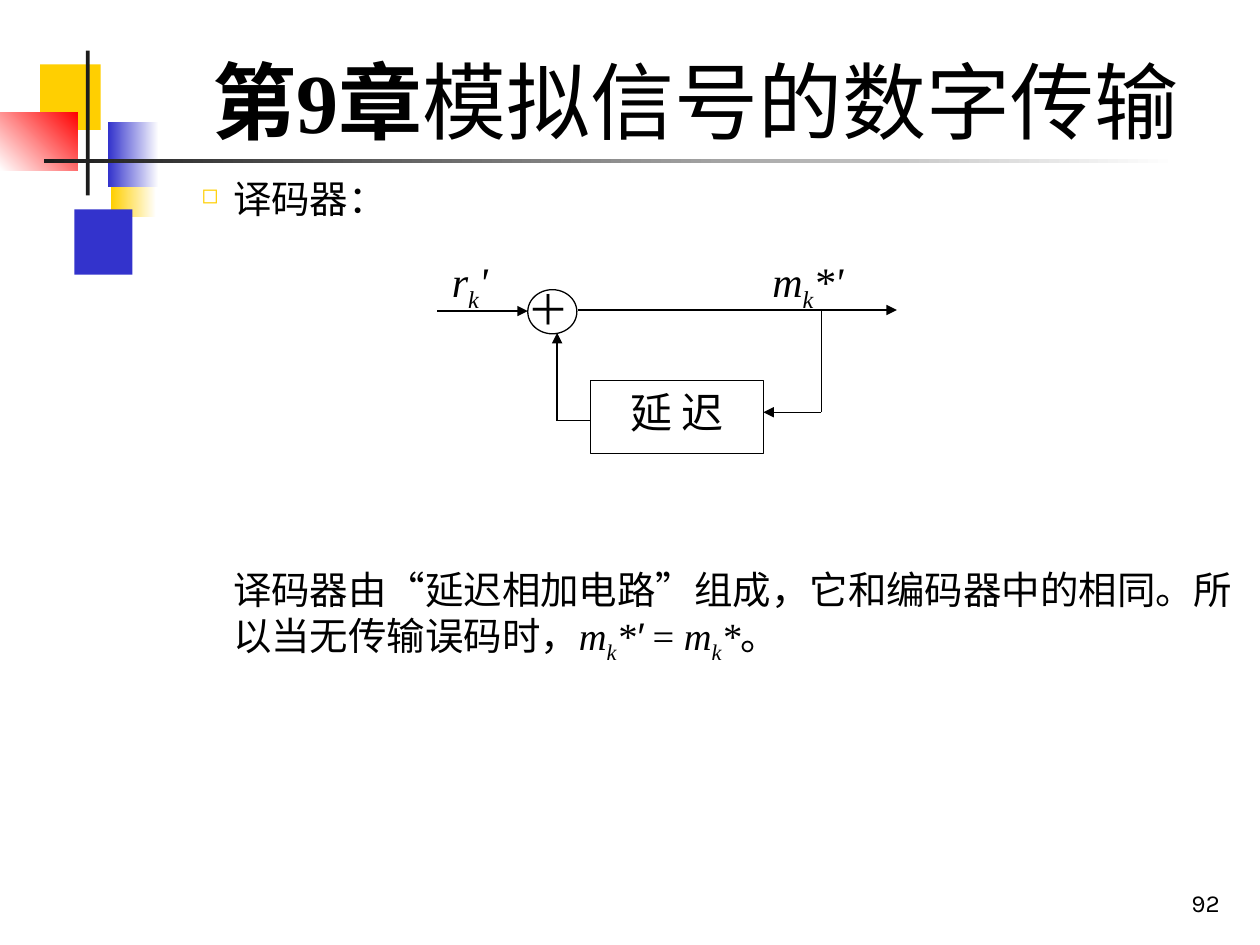
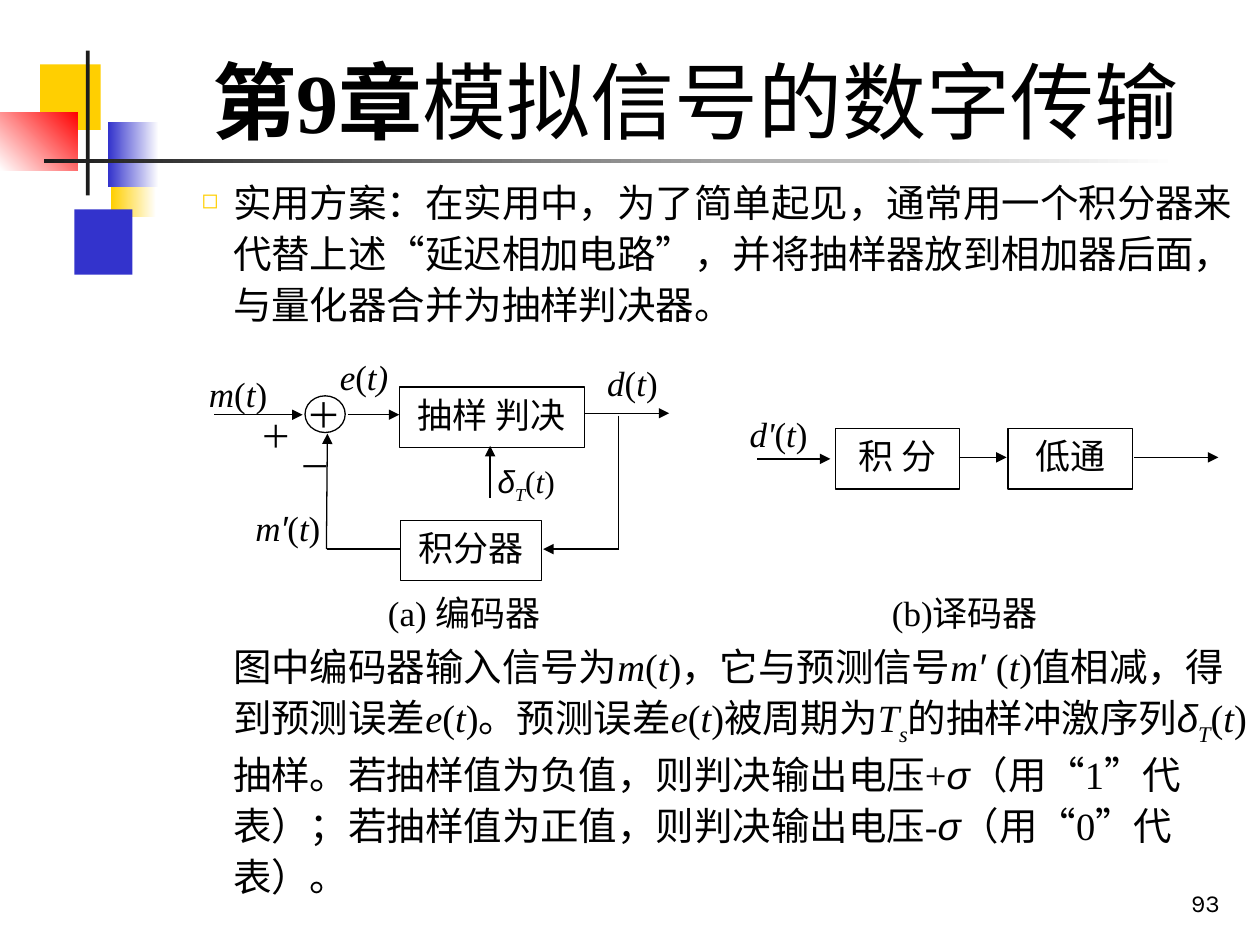
import dataclasses

import lxml.etree
import pptx
import pptx.dml.color
import pptx.enum.shapes
import pptx.enum.text
import pptx.oxml
import pptx.oxml.ns
import pptx.util

Cm = pptx.util.Cm
qn = pptx.oxml.ns.qn
Align = pptx.enum.text.PP_ALIGN
Anchor = pptx.enum.text.MSO_ANCHOR
Preset = pptx.enum.shapes.MSO_SHAPE


@dataclasses.dataclass(frozen=True)
class Theme:
    ink: str = "000000"
    paper: str = "FFFFFF"
    gold: str = "FFCF01"
    blue: str = "3333CC"
    red: str = "FF0000"
    charcoal: str = "1C1C1C"
    serif: str = "Times New Roman"
    sans: str = "Arial"
    number_font: str = "Karla"
    title_size: int = 48
    body_size: int = 22
    large_size: int = 24
    label_size: int = 20
    small_size: int = 18
    number_size: int = 14
    line_width: float = 0.75


theme = Theme()

PLAIN = {}
BOLD = {"bold": True}
ITALIC = {"italic": True}
SUB = {"italic": True, "baseline": "-25000"}
GREEK = {"italic": True, "font": theme.sans}
NUMBER = {"font": theme.number_font}

OF_T = [("(", PLAIN), ("t", ITALIC), (")", PLAIN)]
M_T = [("m", ITALIC), *OF_T]
E_T = [("e", ITALIC), *OF_T]
DELTA_T = [("δ", GREEK), ("T", SUB), *OF_T]
M_K = [("m", ITALIC), ("k", SUB), ("*", ITALIC)]


def paint(shape, colors, angle=0):
    shape.shadow.inherit = False
    if len(colors) == 1:
        shape.fill.solid()
        shape.fill.fore_color.rgb = pptx.dml.color.RGBColor.from_string(colors[0])
    else:
        shape.fill.gradient()
        shape.fill.gradient_angle = angle
        for stop, color in zip(shape.fill.gradient_stops, colors):
            stop.color.rgb = pptx.dml.color.RGBColor.from_string(color)
    shape.line.fill.background()


def write(box, runs, size, align=Align.LEFT, anchor=Anchor.TOP):
    frame = box.text_frame
    frame.word_wrap = True
    frame.vertical_anchor = anchor
    para = frame.paragraphs[0]
    para.alignment = align
    for text, style in runs:
        span = para.add_run()
        span.text = text
        span.font.size = pptx.util.Pt(size)
        span.font.name = style.get("font", theme.serif)
        span.font.bold = style.get("bold", False)
        span.font.italic = style.get("italic", False)
        span.font.color.rgb = pptx.dml.color.RGBColor.from_string(theme.ink)
        if "baseline" in style:
            span.font._element.set("baseline", style["baseline"]) if hasattr(span.font, "_element") else span._r.get_or_add_rPr().set("baseline", style["baseline"])
    return para


decorations = [
    ((2.24, 3.05, 0.91, 1.32), [theme.paper, theme.gold], 180),
    ((1.5, 4.22, 1.17, 1.32), [theme.blue], 0),
    ((0.81, 1.3, 1.22, 1.32), [theme.gold], 0),
    ((2.18, 2.46, 1.02, 1.32), [theme.paper, theme.blue], 180),
    ((0, 2.26, 1.57, 1.17), [theme.red, theme.paper], 225),
    ((1.73, 1.02, 0.08, 2.92), [theme.charcoal], 0),
    ((0.89, 3.2, 22.86, 0.08), [theme.paper, theme.charcoal], 180),
]

decoder_page = {
    "number": "92",
    "spacing": 1.0,
    "bullet": [("译码器：", PLAIN)],
    "note_top": 11.28,
    "note": [
        ("译码器由“延迟相加电路”组成，它和编码器中的相同。所以当无传输误码时，", PLAIN),
        *M_K, ("′", GREEK), (" = ", PLAIN), *M_K, ("。", PLAIN),
    ],
    "block_size": theme.large_size,
    "blocks": [("延 迟", (11.91, 7.67, 3.48, 1.47))],
    "adder": (10.64, 5.84, 0.99, 0.89),
    "lines": [
        ((11.91, 8.48), (11.23, 8.48), False),
        ((11.23, 8.48), (11.23, 6.71), True),
        ((8.81, 6.27), (10.64, 6.27), True),
        ((11.66, 6.25), (18.08, 6.25), True),
        ((16.56, 6.25), (16.56, 8.31), False),
        ((16.56, 8.31), (15.39, 8.31), True),
    ],
    "labels": [
        ([("＋", PLAIN)], (10.39, 5.59, 1.57, 1.17), theme.large_size),
        ([("r", ITALIC), ("k", SUB), ("'", ITALIC)], (8.86, 5.03, 1.65, 1.32), theme.large_size),
        ([*M_K, ("'", ITALIC)], (15.32, 5.03, 2.29, 1.32), theme.large_size),
    ],
}

practical_page = {
    "number": "93",
    "spacing": 1.1,
    "bullet": [(
        "实用方案：在实用中，为了简单起见，通常用一个积分器来代替上述“延迟相加电路”，"
        "并将抽样器放到相加器后面，与量化器合并为抽样判决器。", PLAIN)],
    "note_top": 12.74,
    "note": [
        ("图中编码器输入信号为", PLAIN), *M_T,
        ("，它与预测信号", PLAIN), ("m", ITALIC), ("′ ", GREEK), *OF_T,
        ("值相减，得到预测误差", PLAIN), *E_T,
        ("。预测误差", PLAIN), *E_T,
        ("被周期为", PLAIN), ("T", ITALIC), ("s", SUB),
        ("的抽样冲激序列", PLAIN), *DELTA_T,
        ("抽样。若抽样值为负值，则判决输出电压+", PLAIN), ("σ", GREEK),
        ("（用“1”代表）；若抽样值为正值，则判决输出电压-", PLAIN), ("σ", GREEK),
        ("（用“0”代表）。", PLAIN),
    ],
    "block_size": theme.label_size,
    "blocks": [
        ("积分器", (8.08, 10.49, 2.84, 1.22)),
        ("抽样 判决", (8.05, 7.8, 3.73, 1.22)),
        ("积 分", (16.84, 8.64, 2.51, 1.22)),
        ("低通", (20.32, 8.64, 2.51, 1.22)),
    ],
    "adder": (6.15, 7.98, 0.81, 0.74),
    "lines": [
        ((4.32, 8.36), (6.1, 8.36), True),
        ((7.01, 8.36), (8.05, 8.36), True),
        ((11.79, 8.33), (13.49, 8.33), True),
        ((12.47, 8.38), (12.47, 11.07), False),
        ((12.47, 11.07), (10.95, 11.07), True),
        ((8.08, 11.07), (6.6, 11.07), False),
        ((6.58, 11.07), (6.6, 8.74), True),
        ((9.88, 10.03), (9.88, 8.99), True),
        ((15.27, 9.25), (16.74, 9.25), True),
        ((19.33, 9.22), (20.29, 9.22), True),
        ((22.86, 9.22), (24.56, 9.22), True),
    ],
    "labels": [
        ([("＋", PLAIN)], (5.92, 7.8, 1.32, 0.99), theme.label_size),
        ([("＋", PLAIN)], (5, 8.28, 1.2, 0.97), theme.small_size),
        ([("－", PLAIN)], (5.79, 8.89, 1.2, 0.97), theme.small_size),
        (DELTA_T, (9.78, 9.19, 1.8, 1.09), theme.small_size),
        (M_T, (3.96, 7.39, 1.88, 1.17), theme.label_size),
        ([("e", ITALIC), ("(", PLAIN), ("t)", ITALIC)], (6.6, 7.04, 1.6, 1.17), theme.label_size),
        ([("d", ITALIC), *OF_T], (11.99, 7.16, 1.88, 1.17), theme.label_size),
        ([("m", ITALIC), ("′", GREEK), *OF_T], (4.9, 10.08, 1.96, 1.17), theme.label_size),
        ([("d'", ITALIC), *OF_T], (14.86, 8.2, 2.46, 1.09), theme.label_size),
        ([("(a) 编码器", PLAIN)], (7.57, 11.79, 4, 1.19), theme.label_size),
        ([("(b)译码器", PLAIN)], (17.73, 11.79, 4, 1.19), theme.label_size),
    ],
}

deck = pptx.Presentation()
deck.slide_width = Cm(25.4)
deck.slide_height = Cm(19.05)

for content in (decoder_page, practical_page):
    page = deck.slides.add_slide(deck.slide_layouts[6])

    for area, colors, angle in decorations:
        paint(page.shapes.add_shape(Preset.RECTANGLE, *map(Cm, area)), colors, angle)

    title = page.shapes.add_textbox(Cm(3.2), Cm(0.58), Cm(21.64), Cm(2.57))
    write(title, [("第9章", BOLD), ("模拟信号的数字传输", PLAIN)],
          theme.title_size, Align.CENTER, Anchor.BOTTOM)

    for part, top, height in (("bullet", 3.4, 3.6), ("note", content["note_top"], 6)):
        box = page.shapes.add_textbox(Cm(3.81), Cm(top), Cm(21.59), Cm(height))
        para = write(box, content[part], theme.body_size)
        para.line_spacing = content["spacing"]
        properties = para._p.get_or_add_pPr()
        properties.set("marL", str(Cm(0.64)))
        if part == "bullet":
            properties.set("indent", str(Cm(-0.64)))
            color = lxml.etree.SubElement(properties, qn("a:buClr"))
            lxml.etree.SubElement(color, qn("a:srgbClr"), val=theme.gold)
            lxml.etree.SubElement(properties, qn("a:buSzPct"), val="55000")
            lxml.etree.SubElement(properties, qn("a:buChar"), char="◻")

    outlined = [(Preset.RECTANGLE, area, text) for text, area in content["blocks"]]
    outlined.append((Preset.OVAL, content["adder"], ""))
    for preset, area, text in outlined:
        block = page.shapes.add_shape(preset, *map(Cm, area))
        paint(block, [theme.paper])
        block.line.color.rgb = pptx.dml.color.RGBColor.from_string(theme.ink)
        block.line.width = pptx.util.Pt(theme.line_width)
        if text:
            write(block, [(text, PLAIN)], content["block_size"], Align.CENTER)

    for start, end, has_arrow in content["lines"]:
        wire = page.shapes.add_connector(
            pptx.enum.shapes.MSO_CONNECTOR.STRAIGHT, *map(Cm, start + end))
        wire.line.color.rgb = pptx.dml.color.RGBColor.from_string(theme.ink)
        wire.line.width = pptx.util.Pt(theme.line_width)
        if has_arrow:
            lxml.etree.SubElement(wire.line._get_or_add_ln(), qn("a:tailEnd"), type="triangle")
        lxml.etree.SubElement(wire._element.spPr, qn("a:effectLst"))

    for runs, area, size in content["labels"]:
        write(page.shapes.add_textbox(*map(Cm, area)), runs, size)

    number = page.shapes.add_textbox(Cm(19.56), Cm(17.35), Cm(5.28), Cm(1.27))
    write(number, [(content["number"], NUMBER)], theme.number_size, Align.RIGHT, Anchor.BOTTOM)

deck.save("out.pptx")
